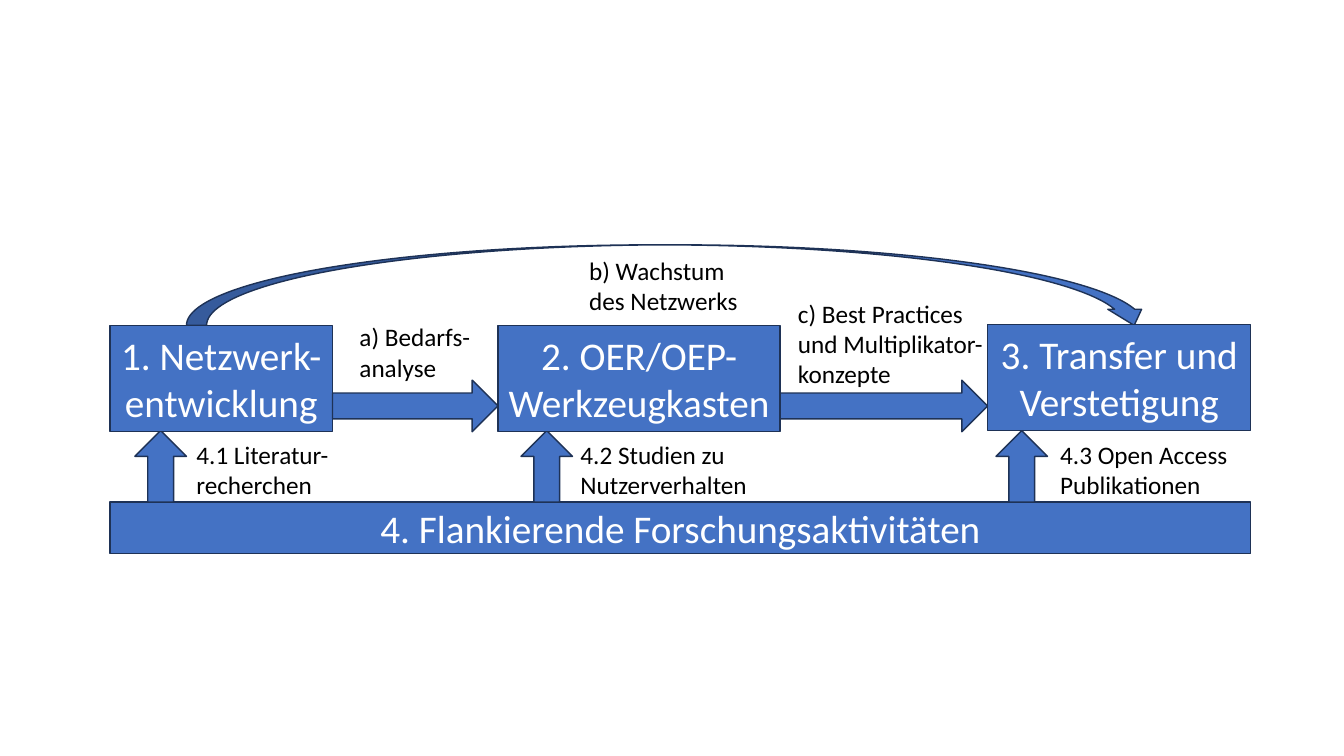
from dataclasses import dataclass

from pptx import Presentation
from pptx.dml.color import RGBColor
from pptx.enum.shapes import MSO_SHAPE
from pptx.enum.text import MSO_ANCHOR, MSO_AUTO_SIZE, PP_ALIGN
from pptx.util import Cm, Pt

RECTANGLE = MSO_SHAPE.RECTANGLE
UP_ARROW = MSO_SHAPE.UP_ARROW
RIGHT_ARROW = MSO_SHAPE.RIGHT_ARROW
CURVED_ARROW = MSO_SHAPE.CURVED_DOWN_ARROW
MIDDLE = MSO_ANCHOR.MIDDLE
CENTER = PP_ALIGN.CENTER
FIT_SHAPE = MSO_AUTO_SIZE.SHAPE_TO_FIT_TEXT

COLORS = {"fill": "4472C4", "outline": "1E3256", "light": "FFFFFF", "dark": "000000"}
FONT = "Calibri"
ARROW_SIZE = 1.3


@dataclass
class Box:
    left: float
    top: float
    width: float
    height: float

    @property
    def right(self):
        return self.left + self.width

    @property
    def bottom(self):
        return self.top + self.height

    def inner(self, left, top, width, height):
        return Box(self.left + left, self.top + top, width, height)

    def lengths(self):
        return [Cm(value) for value in (self.left, self.top, self.width, self.height)]


def color(name):
    return RGBColor.from_string(COLORS[name])


def write(frame, text, size, color_name):
    frame.text = text
    for para in frame.paragraphs:
        para.font.name = FONT
        para.font.size = Pt(size)
        para.font.color.rgb = color(color_name)


def add_figure(page, kind, box):
    figure = page.shapes.add_shape(kind, *box.lengths())
    figure.shadow.inherit = False
    figure.fill.solid()
    figure.fill.fore_color.rgb = color("fill")
    figure.line.color.rgb = color("outline")
    figure.line.width = Pt(1)
    return figure


def add_block(page, box, text):
    frame = add_figure(page, RECTANGLE, box).text_frame
    frame.word_wrap = True
    frame.vertical_anchor = MIDDLE
    write(frame, text, 28, "light")
    frame.paragraphs[0].alignment = CENTER


def add_label(page, box, text):
    frame = page.shapes.add_textbox(*box.lengths()).text_frame
    frame.word_wrap = False
    frame.auto_size = FIT_SHAPE
    write(frame, text, 18, "dark")


def draw_stages(page, box):
    stages = [
        (0, 0.02, 5.61, "1. Netzwerk-entwicklung"),
        (9.78, 0.02, 7.11, "2. OER/OEP-Werkzeugkasten"),
        (22.12, 0, 6.63, "3. Transfer und Verstetigung"),
    ]
    stage_boxes = []
    for left, top, width, text in stages:
        stage_box = box.inner(left, top, width, box.height)
        add_block(page, stage_box, text)
        stage_boxes.append(stage_box)
    for start, end in zip(stage_boxes, stage_boxes[1:]):
        gap = Box(start.right, box.top + 1.4, end.left - start.right, ARROW_SIZE)
        add_figure(page, RIGHT_ARROW, gap)

    add_label(page, box.inner(6.04, -0.2, 3.33, 1.8), "a) Bedarfs-\nanalyse")
    add_label(page, box.inner(17.09, -0.79, 5.26, 2.57),
              "c) Best Practices\nund Multiplikator-\nkonzepte")


def draw_growth(page, box):
    arrow = add_figure(page, CURVED_ARROW, box)
    for index, value in enumerate((0.25, 0.42, 0.2)):
        arrow.adjustments[index] = value
    add_label(page, box.inner(9.9, 0.13, 4.29, 1.8), "b) Wachstum\ndes Netzwerks")


def draw_research(page, box):
    band_height = 1.3
    rise = box.height - band_height
    band = Box(box.left, box.bottom - band_height, box.width, band_height)
    add_block(page, band, "4. Flankierende Forschungsaktivitäten")
    supports = [
        (0.63, 1.93, 3.89, "4.1 Literatur-\nrecherchen"),
        (10.36, 11.61, 4.75, "4.2 Studien zu\nNutzerverhalten"),
        (22.33, 23.7, 4.78, "4.3 Open Access\vPublikationen"),
    ]
    for arrow_left, label_left, label_width, text in supports:
        add_figure(page, UP_ARROW, box.inner(arrow_left, 0, ARROW_SIZE, rise))
        add_label(page, box.inner(label_left, 0.1, label_width, rise), text)


def main():
    deck = Presentation()
    deck.slide_width = Cm(33.87)
    deck.slide_height = Cm(19.05)
    page = deck.slides.add_slide(deck.slide_layouts[6])
    draw_research(page, Box(2.77, 10.85, 28.75, 3.1))
    draw_growth(page, Box(4.7, 6.17, 24.31, 2.03))
    draw_stages(page, Box(2.77, 8.18, 28.75, 2.67))
    deck.save("out.pptx")


if __name__ == "__main__":
    main()
